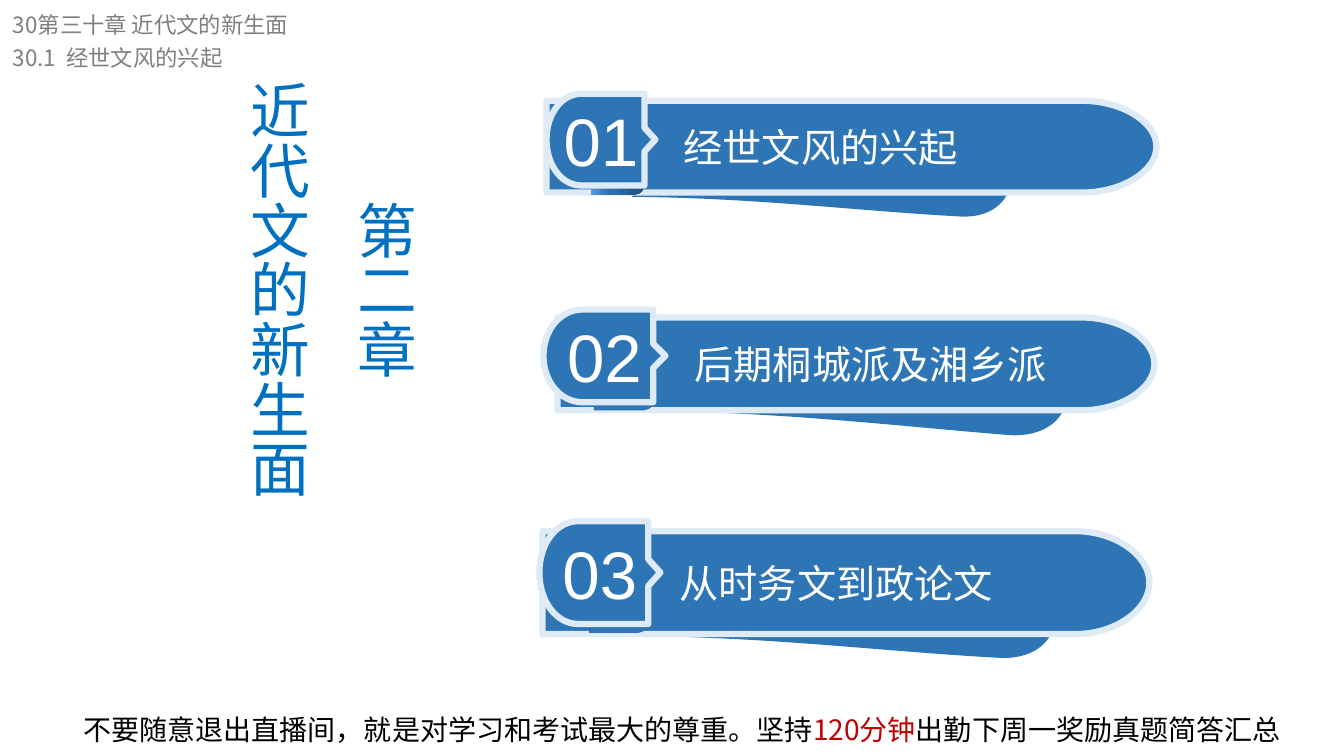
from copy import deepcopy
from dataclasses import dataclass

from lxml import etree
from pptx import Presentation
from pptx.dml.color import RGBColor
from pptx.enum.text import MSO_ANCHOR, MSO_AUTO_SIZE, PP_ALIGN
from pptx.oxml.ns import qn
from pptx.util import Inches, Pt

LEFT = PP_ALIGN.LEFT
CENTER = PP_ALIGN.CENTER
MIDDLE = MSO_ANCHOR.MIDDLE
GROW = MSO_AUTO_SIZE.SHAPE_TO_FIT_TEXT

PILL = [
    (0, 0), (0.88, 0),
    (0.94, 0, 1, 0.22, 1, 0.5),
    (1, 0.78, 0.94, 1, 0.88, 1),
    (0, 1), (0, 0),
]
BEAD = [
    (0, 0), (0.8, 0),
    (0.91, 0, 1, 0.15, 1, 0.33),
    (1, 0.67),
    (1, 0.85, 0.91, 1, 0.8, 1),
    (0, 1), (0, 0),
]
TAG = [
    (0.32, 0), (0.9, 0), (0.9, 0.37), (1, 0.5), (0.9, 0.63), (0.9, 1), (0.32, 1),
    (0.14, 1, 0, 0.78, 0, 0.5),
    (0, 0.22, 0.14, 0, 0.32, 0),
]


@dataclass
class Theme:
    blue: str = "2E75B6"
    pale: str = "DEEBF7"
    title: str = "0070C0"
    gray: str = "808080"
    red: str = "C00000"
    black: str = "000000"
    white: str = "FFFFFF"
    shade: tuple = ((0, "1F4E79"), (0.71, "2E75B6"), (1, "5B9BD5"))
    han: str = "Noto Sans CJK SC"
    latin: str = "Arial"
    small: float = 16
    note: float = 20
    label: float = 28
    head: float = 42.6
    number: float = 48
    edge: float = 4.5


def write(para, text, *, size, color, font, align=LEFT, space=None):
    para.alignment = align
    if space:
        para.line_spacing = space
    run = para.add_run()
    run.text = text
    run.font.size = Pt(size)
    run.font.color.rgb = RGBColor.from_string(color)
    run.font.name = font
    east = etree.SubElement(run.font._element, qn("a:ea"))
    east.set("typeface", font)


def swoosh(low):
    return [
        (0.02, 0), (0.89, 0.32),
        (0.96, 0.35, 1, 0.53, 0.99, 0.71),
        (0.98, 0.89, 0.93, 1, 0.86, 0.99),
        (0.58, low + 0.12, 0.33, low + 0.01, 0, low),
        (0.01, 0.58, 0.01, 0.23, 0.02, 0),
    ]


def bend(shape, outline):
    lines = iter(list(shape._element.spPr.iter(qn("a:lnTo"))))
    for step in outline[1:]:
        first = next(lines)
        if len(step) == 6:
            first.tag = qn("a:cubicBezTo")
            for _ in range(2):
                line = next(lines)
                first.append(line[0])
                line.getparent().remove(line)


class Deck:
    def __init__(self, theme):
        self.theme = theme
        self.file = Presentation()
        self.file.slide_width = Inches(13.33)
        self.file.slide_height = Inches(7.5)
        self.slide = self.file.slides.add_slide(self.file.slide_layouts[6])

    def box(self, frame, lines, wrap=True, tall=False, **style):
        shape = self.slide.shapes.add_textbox(*map(Inches, frame))
        body = shape.text_frame
        body.word_wrap = wrap
        body.auto_size = GROW
        if tall:
            body._txBody.bodyPr.set("vert", "eaVert")
        for i, line in enumerate(lines):
            para = body.add_paragraph() if i else body.paragraphs[0]
            for text, color in line:
                write(para, text, color=color, font=self.theme.han, **style)

    def form(self, group, outline, frame, edge=False):
        x, y, w, h = frame
        dots = [
            (Inches(x + step[k] * w), Inches(y + step[k + 1] * h))
            for step in outline for k in range(0, len(step), 2)
        ]
        maker = group.shapes.build_freeform(*dots[0])
        maker.add_line_segments(dots[1:], close=True)
        shape = maker.convert_to_shape()
        bend(shape, outline)
        shape.shadow.inherit = False
        shape.fill.solid()
        shape.fill.fore_color.rgb = RGBColor.from_string(self.theme.blue)
        if edge:
            shape.line.color.rgb = RGBColor.from_string(self.theme.pale)
            shape.line.width = Pt(self.theme.edge)
        else:
            shape.line.fill.background()
        return shape

    def blend(self, shape):
        fill = shape.fill
        fill.gradient()
        fill.gradient_angle = 180
        stops = shape._element.spPr.find(qn("a:gradFill")).find(qn("a:gsLst"))
        stops.append(deepcopy(stops[0]))
        for stop, (place, color) in zip(fill.gradient_stops, self.theme.shade):
            stop.position = place
            stop.color.rgb = RGBColor.from_string(color)

    def label(self, shape, text, inset=0.1, **style):
        body = shape.text_frame
        body.word_wrap = True
        body.vertical_anchor = MIDDLE
        body.margin_left = Inches(inset)
        write(body.paragraphs[0], text, color=self.theme.white, **style)

    def banner(self, number, text, tail, pill, bead, tag, low=0.82, shaded=False):
        theme = self.theme
        group = self.slide.shapes.add_group_shape()
        self.form(group, swoosh(low), tail)
        bar = self.form(group, PILL, pill, edge=True)
        self.label(bar, text, inset=1.36, size=theme.label, font=theme.han)
        fold = self.form(group, BEAD, bead)
        if shaded:
            self.blend(fold)
        badge = self.form(group, TAG, tag, edge=True)
        self.label(badge, number, size=theme.number, font=theme.latin, align=CENTER)


def main():
    theme = Theme()
    deck = Deck(theme)
    deck.box(
        (0.73, 6.85, 12.4, 0.61),
        [[("不要随意退出直播间，就是对学习和考试最大的尊重。坚持", theme.black),
          ("120分钟", theme.red),
          ("出勤下周一奖励真题简答汇总", theme.black)]],
        wrap=False, size=theme.note, space=1.5,
    )
    deck.box(
        (2.22, 0.71, 2.36, 5.88),
        [[("第二章", theme.title)], [("近代文的新生面", theme.title)]],
        tall=True, size=theme.head, align=CENTER, space=1.5,
    )
    deck.banner(
        "01", "经世文风的兴起",
        tail=(6.27, 1.01, 3.79, 1.15), pill=(5.42, 1, 6.05, 0.91),
        bead=(5.86, 1.45, 0.55, 0.48), tag=(5.42, 0.93, 1.08, 0.91), shaded=True,
    )
    deck.banner(
        "02", "后期桐城派及湘乡派",
        tail=(6.36, 3.12, 4.26, 1.21), pill=(5.53, 3.15, 5.92, 0.92),
        bead=(5.89, 3.59, 0.62, 0.48), tag=(5.39, 3.07, 1.21, 0.92), low=0.79,
    )
    deck.banner(
        "03", "从时务文到政论文",
        tail=(6.3, 5.26, 4.21, 1.28), pill=(5.38, 5.27, 6.02, 1.02),
        bead=(5.84, 5.75, 0.61, 0.53), tag=(5.35, 5.17, 1.2, 1.02),
    )
    heads = ("30第三十章 近代文的新生面", "30.1  经世文风的兴起")
    for i, text in enumerate(heads):
        deck.box((0.03, 0.06 + 0.33 * i, 5.8, 0.37), [[(text, theme.gray)]], size=theme.small)
    deck.file.save("out.pptx")


if __name__ == "__main__":
    main()
